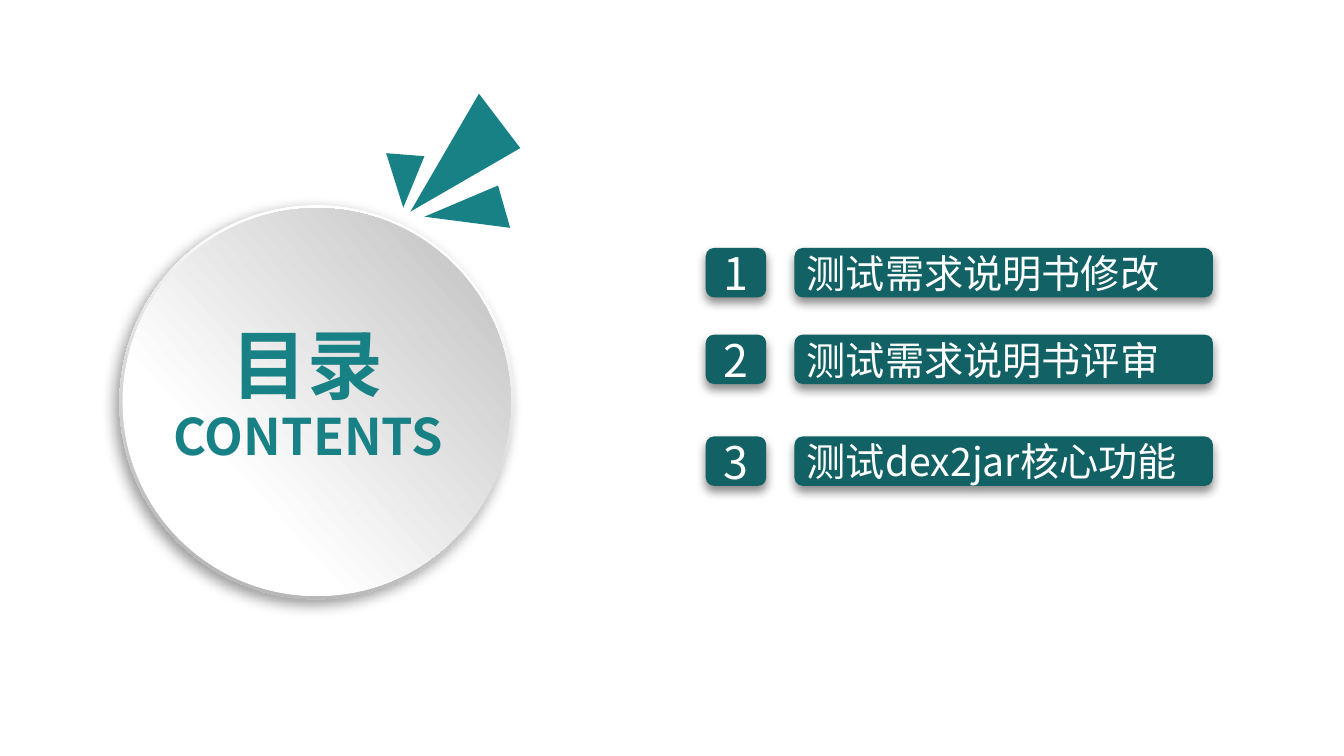
from lxml import etree
from pptx import Presentation
from pptx.dml.color import RGBColor
from pptx.enum.shapes import MSO_SHAPE
from pptx.enum.text import MSO_ANCHOR, MSO_AUTO_SIZE, PP_ALIGN
from pptx.oxml.ns import qn
from pptx.util import Inches, Pt

OVAL, ROUNDED = MSO_SHAPE.OVAL, MSO_SHAPE.ROUNDED_RECTANGLE
MIDDLE, NO_FIT = MSO_ANCHOR.MIDDLE, MSO_AUTO_SIZE.NONE
LEFT, CENTER = PP_ALIGN.LEFT, PP_ALIGN.CENTER

FONT = "Noto Sans CJK SC"
COLORS = {"teal": "188186", "dark": "126165", "white": "FFFFFF",
          "rim": "B8B8B8", "face": "BFBFBF", "shadow": "000000"}

TITLE, SUBTITLE = "目录", "CONTENTS"
AGENDA = [
    (2.46, "测试需求说明书修改"),
    (3.32, "测试需求说明书评审"),
    (4.33, "测试dex2jar核心功能"),
]
DISC_CENTER = (3.14, 3.99)
DISCS = [
    {"size": 3.91, "end": "rim", "stops": (0.17, 0.88), "angle": 253},
    {"size": 3.85, "end": "face", "stops": (0.29, 0.98), "angle": 42},
]
RAYS = [
    [(4.07, 2.1), (4.75, 0.93), (5.16, 1.47)],
    [(4.21, 2.15), (4.94, 1.84), (5.06, 2.26)],
    [(4.0, 2.06), (3.83, 1.52), (4.21, 1.55)],
]
BAR_HEIGHT = 0.49
BADGE_LEFT, BADGE_WIDTH = 7.0, 0.6
BAR_LEFT, BAR_WIDTH = 7.88, 4.15


def rgb(name):
    return RGBColor.from_string(COLORS[name])


def write(shape, text, size=28, color="white", bold=False, align=LEFT, wrap=True):
    tf = shape.text_frame
    tf.word_wrap = wrap
    tf.auto_size = NO_FIT
    tf.vertical_anchor = MIDDLE
    p = tf.paragraphs[0]
    p.alignment = align
    r = p.add_run()
    r.text = text
    r.font.size = Pt(size)
    r.font.bold = bold
    r.font.name = FONT
    r.font.color.rgb = rgb(color)
    etree.SubElement(r.font._element, qn("a:ea"), typeface=FONT)


def add_shadow(shape, alpha, blur, dist, angle):
    effects = shape._element.spPr.find(qn("a:effectLst"))
    outer = etree.SubElement(effects, qn("a:outerShdw"), blurRad=str(Pt(blur)),
                             dist=str(Pt(dist)), dir=str(angle * 60000),
                             algn="ctr", rotWithShape="0")
    color = etree.SubElement(outer, qn("a:srgbClr"), val=COLORS["shadow"])
    etree.SubElement(color, qn("a:alpha"), val=str(alpha * 1000))


def plain(shape, fill=None):
    shape.shadow.inherit = False
    shape.line.fill.background()
    if fill:
        shape.fill.solid()
        shape.fill.fore_color.rgb = rgb(fill)
    return shape


def add_disc(s, size, end, stops, angle):
    left, top = (Inches(c - size / 2) for c in DISC_CENTER)
    disc = plain(s.shapes.add_shape(OVAL, left, top, Inches(size), Inches(size)))
    disc.fill.gradient()
    disc.fill.gradient_angle = angle
    for stop, position, color in zip(disc.fill.gradient_stops, stops, ("white", end)):
        stop.position = position
        stop.color.rgb = rgb(color)
    return disc


def add_ray(s, points):
    start, *rest = [(Inches(x), Inches(y)) for x, y in points]
    builder = s.shapes.build_freeform(*start)
    builder.add_line_segments(rest, close=True)
    plain(builder.convert_to_shape(), "teal")


def add_bar(s, left, top, width):
    bar = plain(s.shapes.add_shape(ROUNDED, Inches(left), Inches(top),
                                   Inches(width), Inches(BAR_HEIGHT)), "dark")
    add_shadow(bar, alpha=46, blur=7, dist=4, angle=90)
    return bar


def main():
    prs = Presentation()
    prs.slide_width, prs.slide_height = Inches(13.33), Inches(7.5)
    s = prs.slides.add_slide(prs.slide_layouts[5])

    rim, face = [add_disc(s, **disc) for disc in DISCS]
    add_shadow(rim, alpha=39, blur=10, dist=5, angle=135)
    for points in RAYS:
        add_ray(s, points)

    title = s.shapes.title
    title.left, title.top = Inches(1.42), Inches(3.1)
    title.width, title.height = Inches(3.26), Inches(1.01)
    s.shapes._spTree.append(title._element)
    write(title, TITLE, size=54, color="teal", bold=True, align=CENTER)
    subtitle = s.shapes.add_textbox(Inches(1.43), Inches(3.96), Inches(3.26), Inches(0.71))
    write(subtitle, SUBTITLE, size=36, color="teal", bold=True, align=CENTER)

    for number, (top, text) in enumerate(AGENDA, 1):
        badge = add_bar(s, BADGE_LEFT, top, BADGE_WIDTH)
        write(badge, str(number), size=32, align=CENTER, wrap=False)
        write(add_bar(s, BAR_LEFT, top, BAR_WIDTH), text)

    prs.save("out.pptx")


if __name__ == "__main__":
    main()
